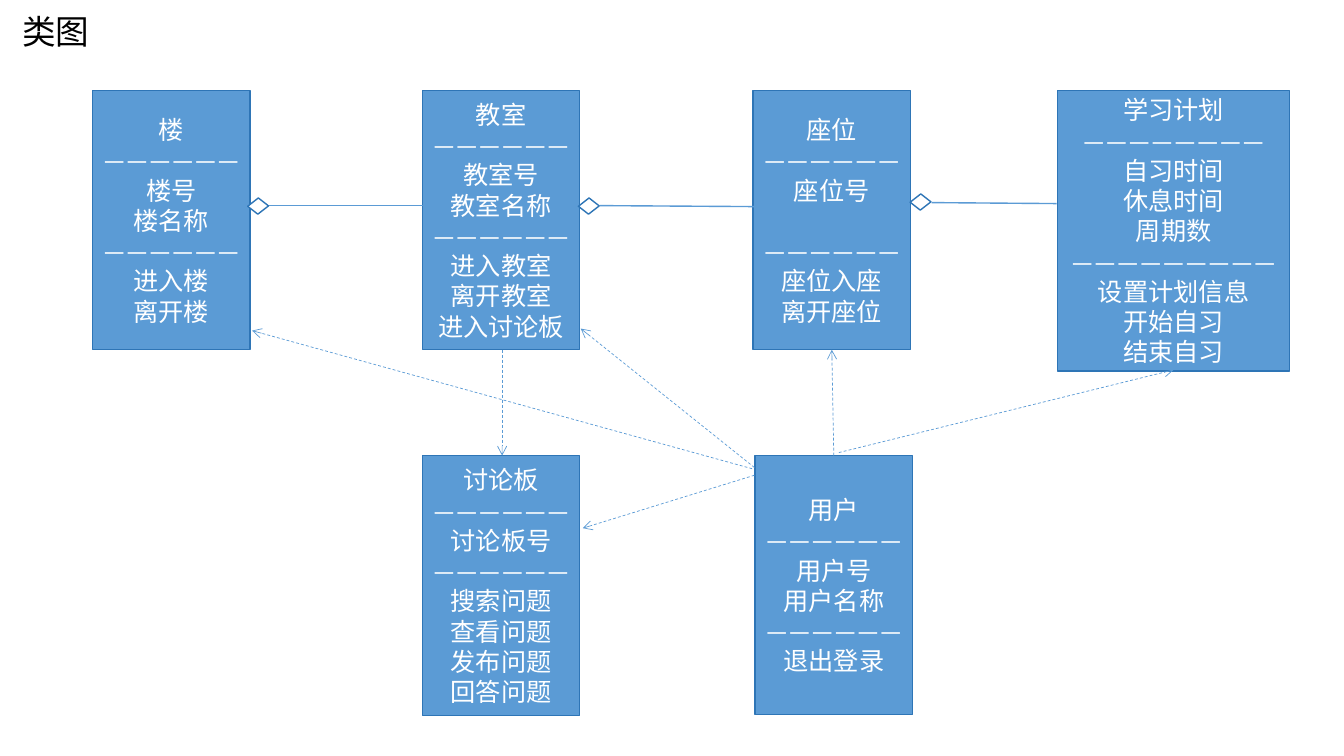
from dataclasses import dataclass

from lxml.etree import SubElement
from pptx import Presentation
from pptx.dml.color import RGBColor
from pptx.enum.dml import MSO_LINE_DASH_STYLE as Dash
from pptx.enum.shapes import MSO_CONNECTOR as Connector, MSO_SHAPE as Shape
from pptx.enum.text import MSO_ANCHOR as Anchor, PP_ALIGN as Align
from pptx.oxml.ns import qn
from pptx.util import Inches, Pt

BLUE = RGBColor(0x5B, 0x9B, 0xD5)
DARK_BLUE = RGBColor(0x2E, 0x75, 0xB6)
WHITE = RGBColor(0xFF, 0xFF, 0xFF)
BLACK = RGBColor(0x00, 0x00, 0x00)
FONT = "Calibri"
LINE_PITCH = 21.6  # points per line of 18 pt text
TOP_ROW, BOTTOM_ROW = 0.9, 4.52

Point = tuple[float, float]


@dataclass(frozen=True)
class UmlClass:
    left: float
    top: float
    name: str
    attributes: list[str]
    operations: list[str]
    width: float = 1.56
    height: float = 2.57
    dashes: tuple[int, int] = (6, 6)
    gap: float = 0  # extra points above the second divider


@dataclass(frozen=True)
class Aggregation:
    diamond: Point
    start: Point
    end: Point


@dataclass(frozen=True)
class Dependency:
    start: Point
    end: Point


CLASSES = [
    UmlClass(0.92, TOP_ROW, "楼", ["楼号", "楼名称"], ["进入楼", "离开楼"]),
    UmlClass(4.19, TOP_ROW, "教室", ["教室号", "教室名称"],
             ["进入教室", "离开教室", "进入讨论板"]),
    UmlClass(7.47, TOP_ROW, "座位", ["座位号"], ["座位入座", "离开座位"],
             gap=LINE_PITCH),
    UmlClass(10.49, TOP_ROW, "学习计划", ["自习时间", "休息时间", "周期数"],
             ["设置计划信息", "开始自习", "结束自习"],
             width=2.3, height=2.78, dashes=(8, 9)),
    UmlClass(4.19, BOTTOM_ROW, "讨论板", ["讨论板号"],
             ["搜索问题", "查看问题", "发布问题", "回答问题"], height=2.58),
    UmlClass(7.49, BOTTOM_ROW, "用户", ["用户号", "用户名称"], ["退出登录"]),
]

AGGREGATIONS = [
    Aggregation((2.48, 1.98), (2.67, 2.04), (4.21, 2.04)),
    Aggregation((5.76, 1.98), (5.95, 2.04), (7.49, 2.05)),
    Aggregation((9.05, 1.94), (9.24, 2.01), (10.48, 2.02)),
]

DEPENDENCIES = [
    Dependency((7.46, 4.65), (2.5, 3.28)),    # user to building
    Dependency((7.56, 4.7), (5.76, 3.26)),    # user to classroom
    Dependency((7.53, 4.7), (5.78, 5.24)),    # user to board
    Dependency((8.27, 4.52), (8.25, 3.47)),   # user to seat
    Dependency((8.32, 4.49), (11.64, 3.67)),  # user to study plan
    Dependency((4.98, 3.47), (4.98, 4.52)),   # classroom to board
]


def add_run(paragraph, text: str, size: float, color: RGBColor) -> None:
    run = paragraph.add_run()
    run.text = text
    run.font.name = FONT
    run.font.size = Pt(size)
    run.font.color.rgb = color


def add_outlined(slide, preset: Shape, left: float, top: float, width: float,
                 height: float, fill: RGBColor):
    outlined = slide.shapes.add_shape(
        preset, Inches(left), Inches(top), Inches(width), Inches(height))
    outlined.shadow.inherit = False
    outlined.fill.solid()
    outlined.fill.fore_color.rgb = fill
    outlined.line.color.rgb = DARK_BLUE
    outlined.line.width = Pt(1)
    return outlined


def add_class(slide, uml: UmlClass) -> None:
    box = add_outlined(slide, Shape.RECTANGLE, uml.left, uml.top,
                       uml.width, uml.height, BLUE)
    frame = box.text_frame
    frame.word_wrap = True
    frame.vertical_anchor = Anchor.MIDDLE
    frame.margin_left = frame.margin_right = Inches(0.05)
    first_divider, second_divider = ("—" * count for count in uml.dashes)
    rows = [uml.name, first_divider, *uml.attributes,
            second_divider, *uml.operations]
    for index, row in enumerate(rows):
        paragraph = frame.paragraphs[0] if index == 0 else frame.add_paragraph()
        paragraph.alignment = Align.CENTER
        if index == len(uml.attributes) + 2:
            paragraph.space_before = Pt(uml.gap)
        add_run(paragraph, row, 18, WHITE)


def add_line(slide, start: Point, end: Point, weight: float):
    connector = slide.shapes.add_connector(
        Connector.STRAIGHT, *(Inches(value) for value in (*start, *end)))
    connector.line.color.rgb = BLUE
    connector.line.width = Pt(weight)
    SubElement(connector._element.spPr, qn("a:effectLst"))
    return connector


def add_aggregation(slide, link: Aggregation) -> None:
    add_line(slide, link.start, link.end, 1)
    diamond = add_outlined(slide, Shape.PARALLELOGRAM, *link.diamond,
                           0.16, 0.13, WHITE)
    diamond.rotation = 38


def add_dependency(slide, link: Dependency) -> None:
    arrow = add_line(slide, link.start, link.end, 0.5)
    arrow.line.dash_style = Dash.DASH
    outline = arrow.line._get_or_add_ln()
    SubElement(outline, qn("a:tailEnd"), type="arrow")


def add_title(slide, text: str) -> None:
    title = slide.shapes.title
    title.left, title.top = Inches(0.12), Inches(0.06)
    title.width, title.height = Inches(2.2), Inches(0.5)
    frame = title.text_frame
    frame.word_wrap = True
    frame.vertical_anchor = Anchor.TOP
    paragraph = frame.paragraphs[0]
    paragraph.alignment = Align.LEFT
    add_run(paragraph, text, 24, BLACK)


presentation = Presentation()
presentation.slide_width = Inches(13.33)
presentation.slide_height = Inches(7.5)
class_diagram = presentation.slides.add_slide(presentation.slide_layouts[5])

# Title
add_title(class_diagram, "类图")

# Classes
for uml_class in CLASSES:
    add_class(class_diagram, uml_class)

# Relations
for aggregation in AGGREGATIONS:
    add_aggregation(class_diagram, aggregation)
for dependency in DEPENDENCIES:
    add_dependency(class_diagram, dependency)

presentation.save("out.pptx")
